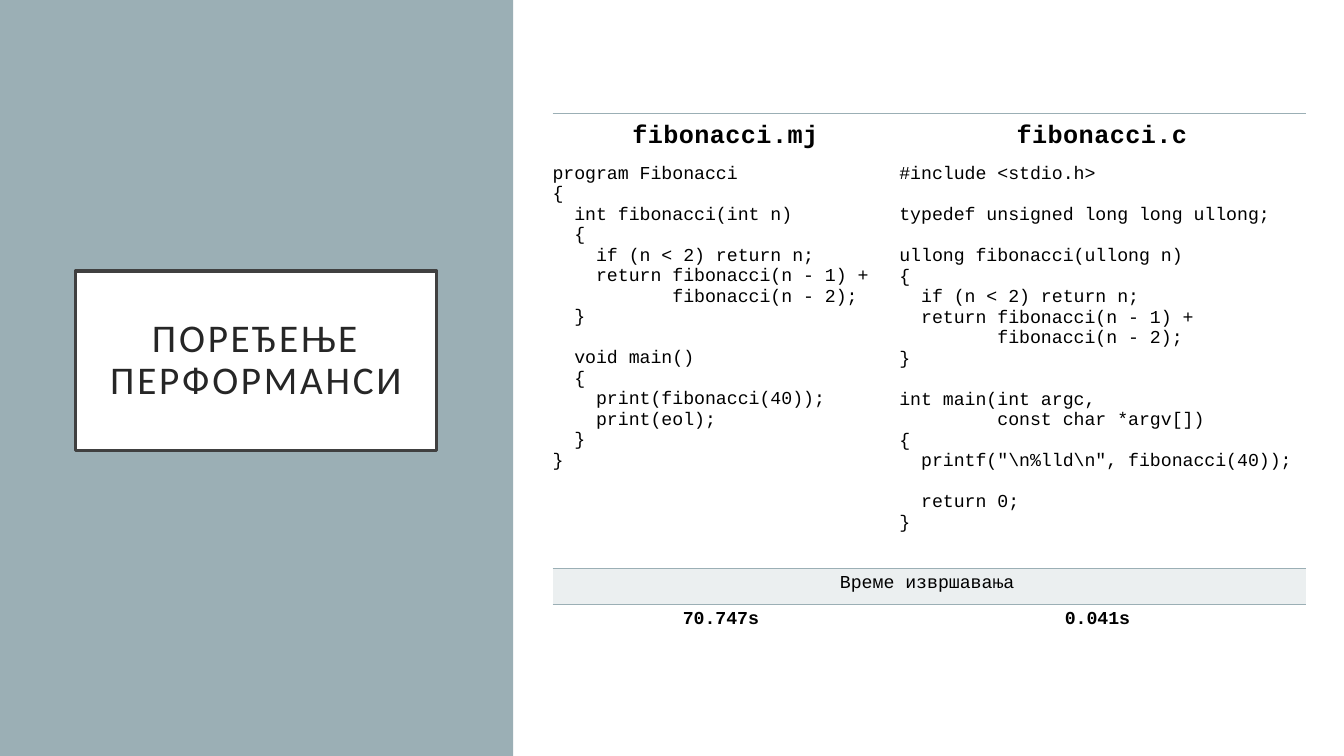
"""Builds the slide comparing Fibonacci run times in MJ and C."""
from lxml import etree
from pptx import Presentation
from pptx.dml.color import RGBColor
from pptx.enum import shapes, text
from pptx.oxml.ns import qn
from pptx.util import Inches, Pt

SAGE = RGBColor(0x9B, 0xAF, 0xB5)
PALE = RGBColor(0xEB, 0xEF, 0xF0)
WHITE = RGBColor(0xFF, 0xFF, 0xFF)
FRAME = RGBColor(0x40, 0x40, 0x40)
INK = RGBColor(0x26, 0x26, 0x26)
BLACK = RGBColor(0, 0, 0)
NO_STYLE = "{2D5ABB26-0587-4C30-8999-92F81FD0307C}"
CODE_LINE = Pt(14.73)

MJ_CODE = r"""program Fibonacci
{
  int fibonacci(int n)
  {
    if (n < 2) return n;
    return fibonacci(n - 1) +
           fibonacci(n - 2);
  }

  void main()
  {
    print(fibonacci(40));
    print(eol);
  }
}"""
C_CODE = r"""#include <stdio.h>

typedef unsigned long long ullong;

ullong fibonacci(ullong n)
{
  if (n < 2) return n;
  return fibonacci(n - 1) +
         fibonacci(n - 2);
}

int main(int argc,
         const char *argv[])
{
  printf("\n%lld\n", fibonacci(40));

  return 0;
}"""


def add_run(p, words, font, size, color, bold=False, spacing=0):
    r = p.add_run()
    r.text = words
    r.font.name, r.font.size, r.font.bold = font, Pt(size), bold
    r.font.color.rgb = color
    if spacing:
        r.font._element.set("spc", str(int(spacing * 100)))


def add_border(cell, side):
    ln = etree.Element(qn("a:" + side), w=str(Pt(1)))
    fill = etree.SubElement(ln, qn("a:solidFill"))
    etree.SubElement(fill, qn("a:srgbClr"), val=str(SAGE))
    cell._tc.get_or_add_tcPr().insert(0, ln)


prs = Presentation()
prs.slide_width, prs.slide_height = Inches(13.33), Inches(7.5)
s = prs.slides.add_slide(prs.slide_layouts[6])

panel = s.shapes.add_shape(shapes.MSO_SHAPE.RECTANGLE, 0, 0, Inches(5.09), Inches(7.5))
panel.shadow.inherit = False
panel.fill.solid()
panel.fill.fore_color.rgb = SAGE
panel.line.fill.background()

title = s.shapes.add_shape(shapes.MSO_SHAPE.RECTANGLE, Inches(0.75), Inches(2.69), Inches(3.58), Inches(1.78))
title.shadow.inherit = False
title.fill.solid()
title.fill.fore_color.rgb = WHITE
title.line.color.rgb = FRAME
title.line.width = Pt(2.5)
tf = title.text_frame
tf.word_wrap = True
tf.vertical_anchor = text.MSO_ANCHOR.MIDDLE
tf.margin_left = tf.margin_right = Inches(0.3)
tf.margin_top = tf.margin_bottom = Inches(0.2)
p = tf.paragraphs[0]
p.alignment = text.PP_ALIGN.CENTER
p.line_spacing = 0.9
add_run(p, "ПОРЕЂЕЊЕ ПЕРФОРМАНСИ", "Calibri", 28, INK, spacing=2)

frame = s.shapes.add_table(4, 2, Inches(5.48), Inches(1.13), Inches(7.47), Inches(5.23))
table = frame.table
table.first_row = table.horz_banding = False
table._tbl.tblPr.find(qn("a:tableStyleId")).text = NO_STYLE
for column, width in zip(table.columns, (3.44, 4.03)):
    column.width = Inches(width)
for row, height in zip(table.rows, (0.45, 4.06, 0.36, 0.36)):
    row.height = Inches(height)
table.cell(2, 0).merge(table.cell(2, 1))

rows = [
    ("fibonacci.mj", "fibonacci.c"),
    (MJ_CODE, C_CODE),
    ("Време извршавања",),
    ("70.747s", "0.041s"),
]
for i, row in enumerate(rows):
    header, code, caption = i == 0, i == 1, i == 2
    for j, words in enumerate(row):
        cell = table.cell(i, j)
        cell.margin_left = Inches(0.06 if caption else 0)
        cell.margin_right = Inches(0.01 if header else 0.1)
        cell.margin_top = cell.margin_bottom = Inches(0.05)
        cell.vertical_anchor = text.MSO_ANCHOR.MIDDLE if header else text.MSO_ANCHOR.TOP
        tf = cell.text_frame
        p, gap = tf.paragraphs[0], False
        for n, line in enumerate(words.split("\n")):
            if not line:
                gap = True
                continue
            if n:
                p = tf.add_paragraph()
            if gap:
                p.space_before = CODE_LINE
                gap = False
            p.alignment = text.PP_ALIGN.LEFT if code else text.PP_ALIGN.CENTER
            add_run(p, line, "Courier New", 18 if header else 13, BLACK,
                    bold=i in (0, 3), spacing=0.3 if header else 0)
        if caption:
            cell.fill.solid()
            cell.fill.fore_color.rgb = PALE
        else:
            cell.fill.background()
        if header:
            add_border(cell, "lnT")
        if code:
            add_border(cell, "lnB")
for cell in (table.cell(2, 0), table.cell(2, 1)):
    add_border(cell, "lnT")

prs.save("out.pptx")
